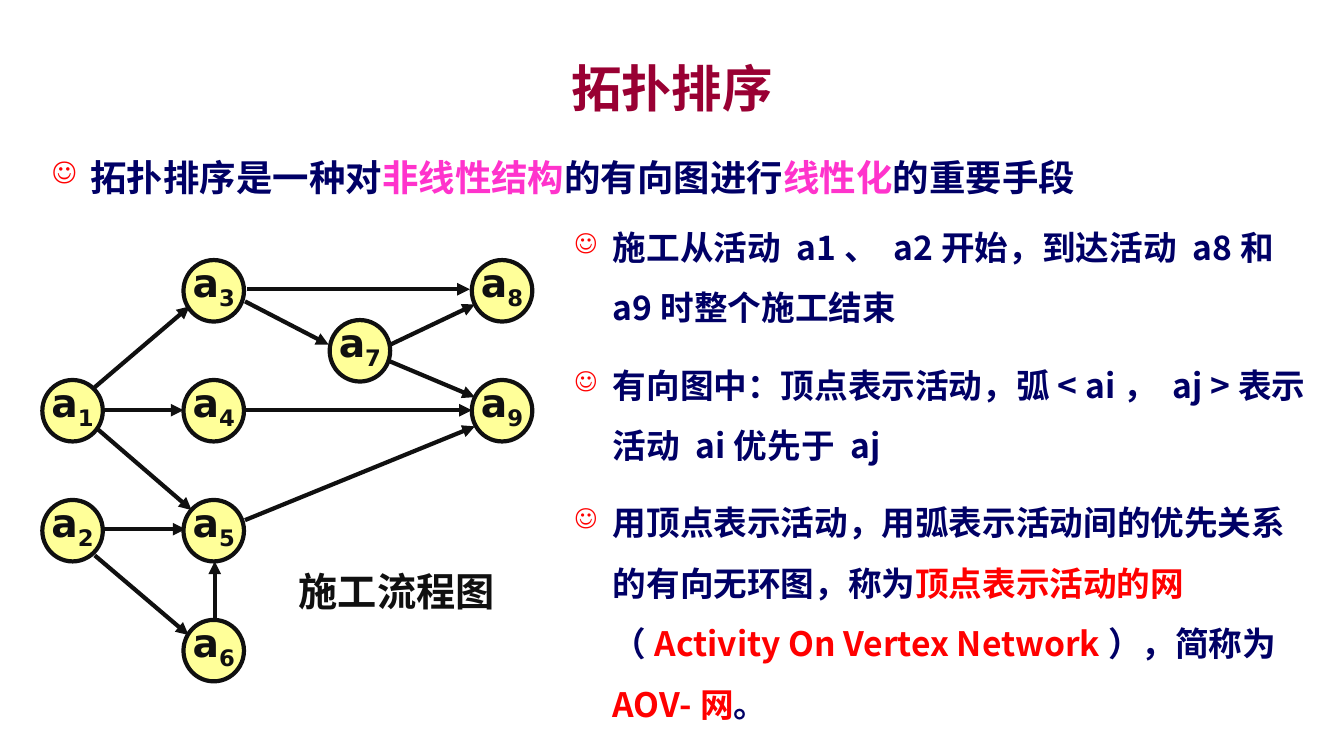
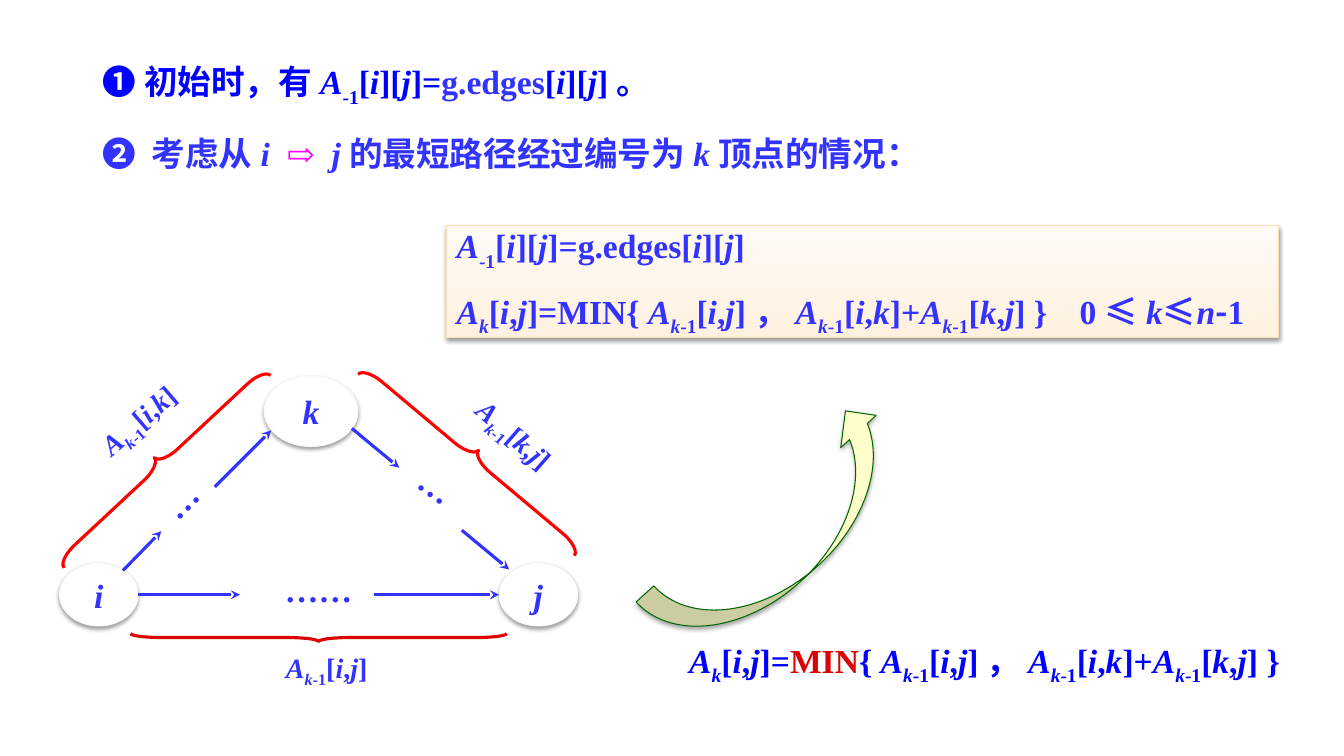
from dataclasses import dataclass, replace
from itertools import groupby
from typing import NamedTuple, Optional

from lxml.etree import SubElement
from pptx import Presentation
from pptx.dml.color import RGBColor
from pptx.enum.shapes import MSO_CONNECTOR as Connector, MSO_SHAPE as Preset
from pptx.enum.text import MSO_ANCHOR as Anchor, PP_ALIGN as Align
from pptx.oxml.ns import qn
from pptx.util import Inches, Pt

# Shared colours and fonts
MAROON = RGBColor(0x99, 0x00, 0x33)
NAVY = RGBColor(0x00, 0x00, 0x66)
PINK = RGBColor(0xFF, 0x33, 0xCC)
RED = RGBColor(0xFF, 0x00, 0x00)
DARK_RED = RGBColor(0xDB, 0x03, 0x03)
INK = RGBColor(0x10, 0x10, 0x10)
BLUE = RGBColor(0x00, 0x00, 0xFF)
VIOLET = RGBColor(0x33, 0x33, 0xFF)
MAGENTA = RGBColor(0xFF, 0x00, 0xFF)
YELLOW = RGBColor(0xFF, 0xFF, 0x99)
CREAM = RGBColor(0xFF, 0xFF, 0xCC)
GREEN = RGBColor(0x00, 0x66, 0x00)
WHITE = RGBColor(0xFF, 0xFF, 0xFF)
PALE = RGBColor(0xF9, 0xF9, 0xF9)
PEACH = RGBColor(0xFF, 0xF1, 0xDF)
PEACH_LIGHT = RGBColor(0xFF, 0xFB, 0xF6)
PEACH_LINE = RGBColor(0xFB, 0xDD, 0xB2)
SANS, CHINESE, SERIF = "DejaVu Sans", "Noto Sans CJK SC", "Times New Roman"
SUBSCRIPTS = {"_": -25000, "~": -30000}


class Box(NamedTuple):
    left: float
    top: float
    width: float
    height: float

    def lengths(self) -> list:
        return [Inches(value) for value in self]


class Segment(NamedTuple):
    """Text in which _.._ and ~..~ enclose subscripts."""
    text: str
    color: Optional[RGBColor] = None
    font: Optional[str] = None


@dataclass(frozen=True)
class TextStyle:
    font: str
    size: int
    color: RGBColor
    align: Align = Align.LEFT
    line_height: Optional[float] = None
    before: float = 0
    first_before: float = 0
    after: float = 0
    bullet: str = ""
    italic_letters: str = ""
    tab: float = 0


class Arrow(NamedTuple):
    x1: float
    y1: float
    x2: float
    y2: float


class Label(NamedTuple):
    box: Box
    text: str
    style: TextStyle
    rotation: float = 0


class Brace(NamedTuple):
    preset: Preset
    box: Box
    rotation: float
    bend: float
    color: RGBColor


TITLE = TextStyle(SANS, 36, MAROON, Align.CENTER)
POINTS = TextStyle(CHINESE, 24, NAVY, line_height=43.2, before=6,
                   first_before=6, after=6, bullet="☺")
LEAD = replace(POINTS, size=26, line_height=46.8)
NODE = TextStyle(SANS, 28, INK, Align.CENTER)
CAPTION = replace(NODE, font=CHINESE)
FORMULA = TextStyle(SERIF, 24, VIOLET, line_height=30, before=16,
                    italic_letters="Aijkn", tab=6.18)
RESULT = replace(FORMULA, color=BLUE, align=Align.CENTER)
VERTEX = TextStyle(SERIF, 24, VIOLET, Align.CENTER, italic_letters="Aijkn")
EDGE = replace(VERTEX, size=20)
DOTS = replace(VERTEX, font=CHINESE)


# Text
def add_runs(paragraph, segment: Segment, style: TextStyle) -> None:
    pieces, mark = [], ""
    for letter in segment.text:
        if letter in SUBSCRIPTS:
            mark = "" if mark else letter
        else:
            pieces.append((letter, letter in style.italic_letters, mark))
    for (italic, mark), group in groupby(pieces, key=lambda piece: piece[1:]):
        run = paragraph.add_run()
        run.text = "".join(piece[0] for piece in group)
        formats = {"name": segment.font or style.font, "size": Pt(style.size),
                   "bold": True, "italic": italic}
        for name, value in formats.items():
            setattr(run.font, name, value)
        run.font.color.rgb = segment.color or style.color
        properties = run.font._element
        SubElement(properties, qn("a:ea"), typeface=CHINESE)
        if mark:
            properties.set("baseline", str(SUBSCRIPTS[mark]))


def write(frame, paragraphs: list[list[Segment]], style: TextStyle) -> None:
    for index, segments in enumerate(paragraphs):
        paragraph = frame.add_paragraph() if index else frame.paragraphs[0]
        formats = {"alignment": style.align, "space_after": Pt(style.after),
                   "space_before": Pt(style.before if index else style.first_before)}
        if style.line_height:
            formats["line_spacing"] = Pt(style.line_height)
        for name, value in formats.items():
            setattr(paragraph, name, value)
        properties = paragraph._p.get_or_add_pPr()
        if style.bullet:
            properties.set("marL", str(Inches(0.38)))
            properties.set("indent", str(Inches(-0.38)))
            color = SubElement(properties, qn("a:buClr"))
            SubElement(color, qn("a:srgbClr"), val=str(RED))
            SubElement(properties, qn("a:buSzPct"), val="80000")
            SubElement(properties, qn("a:buChar"), char=style.bullet)
        if style.tab:
            tabs = SubElement(properties, qn("a:tabLst"))
            SubElement(tabs, qn("a:tab"), pos=str(Inches(style.tab)), algn="l")
        for segment in segments:
            add_runs(paragraph, segment, style)


def set_frame(frame, wrap: bool = True, anchor: Anchor = Anchor.TOP,
              margins: tuple = (0.1, 0.05, 0.1, 0.05)) -> None:
    frame.word_wrap, frame.vertical_anchor = wrap, anchor
    for side, margin in zip(("left", "top", "right", "bottom"), margins):
        setattr(frame, f"margin_{side}", Inches(margin))


def add_text(slide, box: Box, paragraphs: list[list[Segment]], style: TextStyle,
             rotation: float = 0, **layout) -> None:
    shape = slide.shapes.add_textbox(*box.lengths())
    shape.rotation = rotation
    set_frame(shape.text_frame, **layout)
    write(shape.text_frame, paragraphs, style)


# Shapes and arrows
def add_shape(slide, preset: Preset, box: Box, fill: Optional[RGBColor],
              line: RGBColor, width: float, rotation: float = 0,
              shadow: int = 0):
    shape = slide.shapes.add_shape(preset, *box.lengths())
    shape.rotation = rotation
    shape.shadow.inherit = False
    if fill is None:
        shape.fill.background()
    else:
        shape.fill.solid()
        shape.fill.fore_color.rgb = fill
    shape.line.color.rgb = line
    shape.line.width = Pt(width)
    if shadow:
        effects = shape._element.spPr.find(qn("a:effectLst"))
        outer = SubElement(effects, qn("a:outerShdw"), blurRad=str(Pt(3.1)),
                           dist=str(Pt(1.6)), dir="5400000", rotWithShape="0")
        color = SubElement(outer, qn("a:srgbClr"), val="000000")
        SubElement(color, qn("a:alpha"), val=str(shadow * 1000))
    return shape


def add_arrow(slide, arrow: Arrow, color: RGBColor, width: float, head: str) -> None:
    ends = [Inches(value) for value in arrow]
    connector = slide.shapes.add_connector(Connector.STRAIGHT, *ends)
    connector.line.color.rgb = color
    connector.line.width = Pt(width)
    SubElement(connector.line._get_or_add_ln(), qn("a:tailEnd"), type=head)
    SubElement(connector._element.spPr, qn("a:effectLst"))


# Slide 1: activity network
NODE_COLUMNS = (0.42, 1.82, 3.27, 4.68)
NODE_TOP, NODE_PITCH = 2.58, 1.19
NODE_CELLS = {"1": (0, 1), "2": (0, 2), "3": (1, 0), "4": (1, 1), "5": (1, 2),
              "6": (1, 3), "7": (2, 0.5), "8": (3, 0), "9": (3, 1)}
ACTIVITY_ARROWS = [
    Arrow(0.93, 3.85, 1.88, 3.04), Arrow(2.45, 2.87, 4.66, 2.87),
    Arrow(2.43, 2.99, 3.26, 3.42), Arrow(3.87, 3.42, 4.71, 3.02),
    Arrow(2.26, 4.07, 4.68, 4.07), Arrow(1, 4.07, 1.82, 4.07),
    Arrow(2.43, 5.16, 4.71, 4.23), Arrow(0.96, 4.25, 1.9, 5.06),
    Arrow(3.76, 3.54, 4.71, 3.94), Arrow(1.02, 5.25, 1.84, 5.25),
    Arrow(2.13, 6.16, 2.13, 5.57), Arrow(0.94, 5.51, 1.87, 6.3)]
LEAD_TEXT = [[Segment("拓扑排序是一种对"), Segment("非线性结构", PINK),
              Segment("的有向图进行"), Segment("线性化", PINK),
              Segment("的重要手段")]]
POINT_TEXT = [
    [Segment("施工从活动 a1、 a2开始，到达活动 a8和 a9时整个施工结束")],
    [Segment("有向图中：顶点表示活动，弧< ai， aj >表示活动 ai优先于 aj")],
    [Segment("用顶点表示活动，用弧表示活动间的优先关系的有向无环图，称为"),
     Segment("顶点表示活动的网", RED), Segment("（"),
     Segment("Activity On Vertex Network", RED), Segment("），简称为"),
     Segment("AOV-网", RED), Segment("。")]]


def build_topological_slide(slide) -> None:
    add_text(slide, Box(1, 0.49, 11.33, 0.75), [[Segment("拓扑排序")]], TITLE,
             anchor=Anchor.MIDDLE)
    add_text(slide, Box(0.42, 1.27, 12.67, 0.67), LEAD_TEXT, LEAD)
    for arrow in ACTIVITY_ARROWS:
        add_arrow(slide, arrow, INK, 3, "triangle")
    for number, (column, row) in NODE_CELLS.items():
        box = Box(NODE_COLUMNS[column], NODE_TOP + row * NODE_PITCH, 0.6, 0.61)
        node = add_shape(slide, Preset.OVAL, box, YELLOW, INK, 3)
        set_frame(node.text_frame, False, Anchor.MIDDLE, (0, 0, 0, 0.12))
        write(node.text_frame, [[Segment(f"a_{number}_")]], NODE)
    add_text(slide, Box(2.45, 5.58, 2.97, 0.5), [[Segment("施工流程图")]], CAPTION)
    add_text(slide, Box(5.6, 2, 7.49, 5.16), POINT_TEXT, POINTS)


# Slide 2: shortest path through k
VERTICES = {"k": Box(2.62, 3.73, 0.93, 0.7), "i": Box(0.59, 5.59, 0.78, 0.62),
            "j": Box(4.95, 5.59, 0.78, 0.62)}
PATH_ARROWS = [
    Arrow(1.22, 5.66, 1.6, 5.27), Arrow(2.13, 4.83, 2.69, 4.27),
    Arrow(3.49, 4.25, 3.96, 4.64), Arrow(4.58, 5.26, 5.05, 5.65),
    Arrow(1.37, 5.9, 2.38, 5.9), Arrow(3.71, 5.9, 4.95, 5.9)]
BRACES = [
    Brace(Preset.LEFT_BRACE, Box(1.5, 3.21, 0.19, 2.8), 47, 1.2, RED),
    Brace(Preset.LEFT_BRACE, Box(4.59, 3.14, 0.19, 2.8), 130, 1.2, RED),
    Brace(Preset.RIGHT_BRACE, Box(3.12, 4.46, 0.08, 3.73), 90, 3.94, DARK_RED)]
LABELS = [
    Label(Box(1.53, 4.81, 0.7, 0.49), "…", DOTS, 135),
    Label(Box(0.67, 3.95, 1.4, 0.44), "A_k-1_[i,k]", EDGE, 319.1),
    Label(Box(3.93, 4.66, 0.7, 0.49), "…", DOTS, 35.8),
    Label(Box(4.4, 4.09, 1.4, 0.44), "A_k-1_[k,j]", EDGE, 41.2),
    Label(Box(2.46, 5.59, 1.4, 0.49), "……", VERTEX),
    Label(Box(2.46, 6.4, 1.56, 0.44), "A_k-1_[i,j]", EDGE)]
MINIMUM = "{ A_k-1_[i,j]，A_k-1_[i,k]+A_k-1_[k,j] }"
RESULT_TEXT = [[Segment("A_k_[i,j]="), Segment("MIN", DARK_RED), Segment(MINIMUM)]]
STEP_TEXT = [
    [Segment("❶ 初始时，有A~-1~[i][j]=", BLUE), Segment("g.edges"),
     Segment("[i][j]。", BLUE)],
    [Segment("❷  考虑从i  "), Segment("⇨  ", MAGENTA),
     Segment("j的最短路径经过编号为k顶点的情况：")]]
RECURRENCE_TEXT = [
    [Segment("A~-1~[i][j]=g.edges[i][j]")],
    [Segment(f"A_k_[i,j]=MIN{MINIMUM}\t0 "), Segment("≤ ", font=CHINESE),
     Segment("k"), Segment("≤", font=CHINESE), Segment("n"),
     Segment("-", font=CHINESE), Segment("1")]]


def build_shortest_path_slide(slide) -> None:
    add_text(slide, Box(6.38, 6.34, 6.77, 0.5), RESULT_TEXT, RESULT)
    for name, box in VERTICES.items():
        vertex = add_shape(slide, Preset.OVAL, box, WHITE, PALE, 0.75, shadow=38)
        set_frame(vertex.text_frame, False, Anchor.MIDDLE)
        write(vertex.text_frame, [[Segment(name)]], VERTEX)
    for arrow in PATH_ARROWS:
        add_arrow(slide, arrow, VIOLET, 2.25, "stealth")
    for brace in BRACES:
        shape = add_shape(slide, brace.preset, brace.box, None, brace.color, 2.25,
                          brace.rotation)
        shape.adjustments[0] = brace.bend
    for label in LABELS:
        add_text(slide, label.box, [[Segment(label.text)]], label.style,
                 label.rotation)
    add_text(slide, Box(1.02, 0.66, 8.5, 1.01), STEP_TEXT, FORMULA,
             margins=(0, 0, 0, 0))
    add_shape(slide, Preset.CURVED_RIGHT_ARROW, Box(7.28, 3.77, 0.95, 3.05),
              CREAM, GREEN, 0.75, 227.6, shadow=35)

    # Recurrence panel
    panel = add_shape(slide, Preset.RECTANGLE, Box(4.43, 2.24, 8.25, 1.11),
                      PEACH, PEACH_LINE, 0.75, shadow=38)
    panel.fill.gradient()
    panel.fill.gradient_angle = 90
    for stop, color in zip(panel.fill.gradient_stops, (PEACH, PEACH_LIGHT)):
        stop.color.rgb = color
    set_frame(panel.text_frame)
    write(panel.text_frame, RECURRENCE_TEXT, FORMULA)


def main() -> None:
    presentation = Presentation()
    presentation.slide_width = Inches(13.33)
    presentation.slide_height = Inches(7.5)
    blank = presentation.slide_layouts[6]
    for build in (build_topological_slide, build_shortest_path_slide):
        build(presentation.slides.add_slide(blank))
    presentation.save("out.pptx")


if __name__ == "__main__":
    main()
